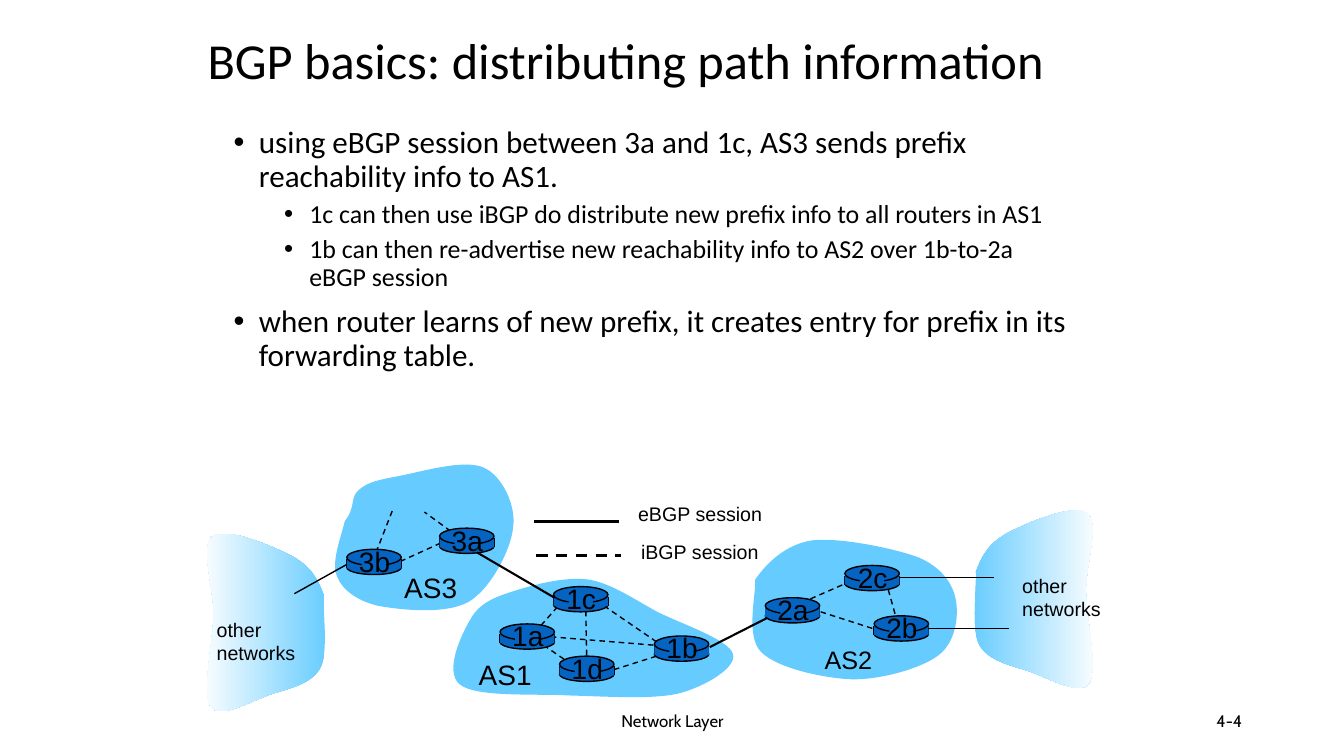
from dataclasses import dataclass

from lxml import etree
from pptx import Presentation
from pptx import util as u
from pptx.dml.color import RGBColor
from pptx.enum import dml, shapes, text
from pptx.oxml import ns


@dataclass(frozen=True)
class Theme:
    ink: str = "000000"
    area: str = "66CCFF"
    router: str = "0563C1"
    fade: str = "FFFFFF"
    heading_font: str = "Calibri"
    label_font: str = "Arial"
    footer_font: str = "Cabin"
    title: float = 36
    body: tuple = (22.2, 18.5)
    node: float = 20
    area_label: float = 18
    note: float = 14
    footer: float = 12


def cm(inches):
    """Length in Cm for a position on the slide's inch grid."""
    return u.Cm(inches * 2.54)


class NetworkSlide:
    def __init__(self, presentation, theme):
        self.theme = theme
        self.slide = presentation.slides.add_slide(presentation.slide_layouts[6])
        self.canvas = self.slide.shapes

    def style_font(self, paragraph, size, font):
        for run in paragraph.runs:
            run.font.size = u.Pt(size)
            run.font.name = font
            run.font.color.rgb = RGBColor.from_string(self.theme.ink)

    def label(self, words, box, size, font=None, align=text.PP_ALIGN.LEFT,
              wrap=False, anchor=text.MSO_ANCHOR.TOP, spacing=None, canvas=None):
        shape = (canvas or self.canvas).add_textbox(*map(cm, box))
        frame = shape.text_frame
        frame.text = words
        frame.word_wrap = wrap
        frame.vertical_anchor = anchor
        for paragraph in frame.paragraphs:
            paragraph.alignment = align
            if spacing:
                paragraph.line_spacing = spacing
            self.style_font(paragraph, size, font or self.theme.label_font)

    def bullets(self, items, box):
        frame = self.canvas.add_textbox(*map(cm, box)).text_frame
        frame.word_wrap = True
        frame.text = "\n".join(words for _, words in items)
        for index, (paragraph, (level, _)) in enumerate(zip(frame.paragraphs, items)):
            paragraph.level = level
            paragraph.line_spacing = 0.9
            paragraph.space_before = u.Pt((10, 5)[level] if index else 0)
            properties = paragraph._p.get_or_add_pPr()
            properties.set("marL", str(cm(0.25 + 0.5 * level)))
            properties.set("indent", str(cm(-0.25)))
            etree.SubElement(properties, ns.qn("a:buFont")).set("typeface", "Arial")
            etree.SubElement(properties, ns.qn("a:buChar")).set("char", "•")
            self.style_font(paragraph, self.theme.body[level], self.theme.heading_font)

    def link(self, start, end, width=1, dashed=False, canvas=None):
        line = (canvas or self.canvas).add_connector(
            shapes.MSO_CONNECTOR.STRAIGHT, *map(cm, (*start, *end)))
        line.line.color.rgb = RGBColor.from_string(self.theme.ink)
        line.line.width = u.Pt(width)
        if dashed:
            line.line.dash_style = dml.MSO_LINE.DASH
        etree.SubElement(line._element.spPr, ns.qn("a:effectLst"))

    def area(self, points, fade_angle=None):
        """Closed curve: a start, then two handles and an end for each piece."""
        outline = [(cm(x), cm(y)) for x, y in points]
        builder = self.canvas.build_freeform(*outline[0])
        builder.add_line_segments(outline[1:], close=True)
        shape = builder.convert_to_shape()
        # Join each three straight segments into one cubic curve
        segments = list(shape._element.iter(ns.qn("a:lnTo")))
        for first in range(0, len(segments), 3):
            curve = etree.Element(ns.qn("a:cubicBezTo"))
            segments[first].addprevious(curve)
            for segment in segments[first:first + 3]:
                curve.append(segment[0])
                segment.getparent().remove(segment)
        shape.shadow.inherit = False
        shape.line.fill.background()
        if fade_angle is None:
            shape.fill.solid()
            shape.fill.fore_color.rgb = RGBColor.from_string(self.theme.area)
        else:
            shape.fill.gradient()
            shape.fill.gradient_angle = fade_angle
            for stop, color in zip(shape.fill.gradient_stops,
                                   (self.theme.area, self.theme.fade)):
                stop.color.rgb = RGBColor.from_string(color)

    def solid(self, kind, box, outlined, canvas):
        shape = canvas.add_shape(kind, *map(cm, box))
        shape.shadow.inherit = False
        shape.fill.solid()
        shape.fill.fore_color.rgb = RGBColor.from_string(self.theme.router)
        if outlined:
            shape.line.color.rgb = RGBColor.from_string(self.theme.ink)
            shape.line.width = u.Pt(1)
        else:
            shape.line.fill.background()

    def router(self, name, x, y):
        group = self.canvas.add_group_shape().shapes
        oval, block = shapes.MSO_SHAPE.OVAL, shapes.MSO_SHAPE.RECTANGLE
        self.solid(oval, (x, y + 0.11, 0.54, 0.14), True, group)
        for side in (x, x + 0.54):
            self.link((side, y + 0.1), (side, y + 0.19), canvas=group)
        self.solid(block, (x, y + 0.1, 0.54, 0.09), False, group)
        self.solid(oval, (x, y, 0.54, 0.16), True, group)
        self.solid(block, (x + 0.15, y + 0.02, 0.24, 0.21), False, group)
        self.label(name, (x + 0.02, y - 0.1, 0.51, 0.43), self.theme.node,
                   align=text.PP_ALIGN.CENTER, canvas=group)


def main():
    presentation = Presentation()
    presentation.slide_width, presentation.slide_height = cm(13.33), cm(7.5)
    theme = Theme()
    page = NetworkSlide(presentation, theme)

    # Title, bullets and footer
    middle = text.MSO_ANCHOR.MIDDLE
    page.label("BGP basics: distributing path information", (1.96, 0, 8.79, 1.25),
               theme.title, theme.heading_font, wrap=True, anchor=middle, spacing=0.9)
    page.bullets([
        (0, "using eBGP session between 3a and 1c, AS3 sends prefix reachability info to AS1."),
        (1, "1c can then use iBGP do distribute new prefix info to all routers in AS1"),
        (1, "1b can then re-advertise new reachability info to AS2 over 1b-to-2a eBGP session"),
        (0, "when router learns of new prefix, it creates entry for prefix in its forwarding table."),
    ], (2.22, 1.21, 8.5, 2.59))
    for words, box, align in [
        ("Network Layer", (4.42, 6.95, 4.5, 0.4), text.PP_ALIGN.CENTER),
        ("4-4", (9.42, 6.95, 3, 0.4), text.PP_ALIGN.RIGHT),
    ]:
        page.label(words, box, theme.footer, theme.footer_font, align, True, middle)

    # Autonomous systems AS2, AS3 and AS1
    for points in [
        [(7.49, 5.75), (7.6, 5.59), (7.79, 5.4), (8.06, 5.36), (8.33, 5.33), (8.87, 5.44),
         (9.11, 5.53), (9.34, 5.63), (9.45, 5.79), (9.48, 5.95), (9.51, 6.11), (9.48, 6.37),
         (9.31, 6.5), (9.14, 6.63), (8.75, 6.74), (8.46, 6.74), (8.17, 6.73), (7.71, 6.63),
         (7.55, 6.47), (7.39, 6.31), (7.5, 5.9), (7.49, 5.75)],
        [(3.42, 5.17), (3.53, 5.04), (3.47, 4.93), (3.56, 4.86), (3.65, 4.78), (3.76, 4.76),
         (3.97, 4.72), (4.18, 4.68), (4.61, 4.55), (4.8, 4.64), (4.98, 4.72), (5.12, 5.01),
         (5.09, 5.23), (5.07, 5.45), (4.87, 5.84), (4.65, 5.97), (4.42, 6.1), (3.97, 6.05),
         (3.75, 6.01), (3.54, 5.96), (3.39, 5.85), (3.34, 5.71), (3.28, 5.57), (3.4, 5.28),
         (3.42, 5.17)],
        [(4.68, 6.12), (4.78, 5.96), (4.95, 5.91), (5.14, 5.85), (5.34, 5.79), (5.61, 5.72),
         (5.84, 5.75), (6.07, 5.79), (6.28, 5.94), (6.52, 6.07), (6.76, 6.19), (7.24, 6.35),
         (7.27, 6.49), (7.31, 6.62), (7, 6.81), (6.73, 6.88), (6.47, 6.94), (6.03, 6.91),
         (5.66, 6.9), (5.3, 6.88), (4.72, 6.92), (4.56, 6.79), (4.4, 6.66), (4.58, 6.28),
         (4.68, 6.12)],
    ]:
        page.area(points)

    # Other networks: the left one mirrors the right one
    right = [(9.68, 5.67), (9.74, 5.51), (9.81, 5.39), (9.99, 5.29), (10.18, 5.19), (10.65, 4.99),
             (10.78, 5.09), (10.91, 5.18), (10.77, 5.59), (10.77, 5.87), (10.78, 6.16),
             (10.89, 6.65), (10.8, 6.78), (10.71, 6.91), (10.39, 6.72), (10.21, 6.66),
             (10.03, 6.6), (9.8, 6.56), (9.71, 6.39), (9.63, 6.23), (9.69, 5.82), (9.68, 5.67)]
    page.area(right, fade_angle=0)
    page.area([(12.89 - x, y + 0.23) for x, y in right], fade_angle=180)

    # iBGP sessions
    for start, end in [
        ((3.97, 5.57), (4.41, 5.37)), ((4.47, 5.27), (4.21, 5.08)), ((3.89, 5.07), (3.73, 5.48)),
        ((5.53, 6.02), (5.37, 6.2)), ((5.81, 6.06), (5.82, 6.56)), ((5.99, 6.01), (6.53, 6.38)),
        ((6.51, 6.51), (6.1, 6.64)), ((6.48, 6.4), (5.49, 6.32)), ((5.39, 6.4), (5.61, 6.55)),
        ((7.95, 5.98), (8.43, 5.77)), ((8.14, 6.07), (8.67, 6.24)), ((8.81, 5.85), (8.88, 6.1)),
    ]:
        page.link(start, end, dashed=True)

    # Routers
    for name, x, y in [
        ("3b", 3.44, 5.45), ("3a", 4.36, 5.24), ("1c", 5.49, 5.82),
        ("1a", 4.96, 6.19), ("1d", 5.55, 6.51), ("1b", 6.49, 6.31),
        ("2a", 7.59, 5.93), ("2c", 8.38, 5.61), ("2b", 8.67, 6.11),
    ]:
        page.router(name, x, y)

    # eBGP sessions, outside links and legend lines
    for start, end, width in [
        ((4.73, 5.48), (5.5, 5.93), 1.5), ((7.04, 6.42), (7.61, 6.13), 1.5),
        ((3.44, 5.6), (2.92, 5.89), 1), ((8.92, 5.73), (9.86, 5.73), 0.75),
        ((9.2, 6.24), (10.01, 6.24), 0.75), ((5.3, 5.17), (6.14, 5.17), 2),
    ]:
        page.link(start, end, width)
    page.link((5.32, 5.51), (6.16, 5.51), 2, dashed=True)

    # Area and legend labels
    for words, box, size in [
        ("AS3", (3.91, 5.61, 0.73, 0.43), theme.node),
        ("AS1", (4.65, 6.47, 0.73, 0.43), theme.node),
        ("AS2", (8.08, 6.34, 0.67, 0.4), theme.area_label),
        ("other\nnetworks", (10.04, 5.64, 0.99, 0.57), theme.note),
        ("other\nnetworks", (2.05, 6.08, 0.99, 0.57), theme.note),
        ("eBGP session", (6.23, 4.93, 1.43, 0.33), theme.note),
        ("iBGP session", (6.26, 5.31, 1.37, 0.33), theme.note),
    ]:
        page.label(words, box, size)

    presentation.save("out.pptx")


if __name__ == "__main__":
    main()
